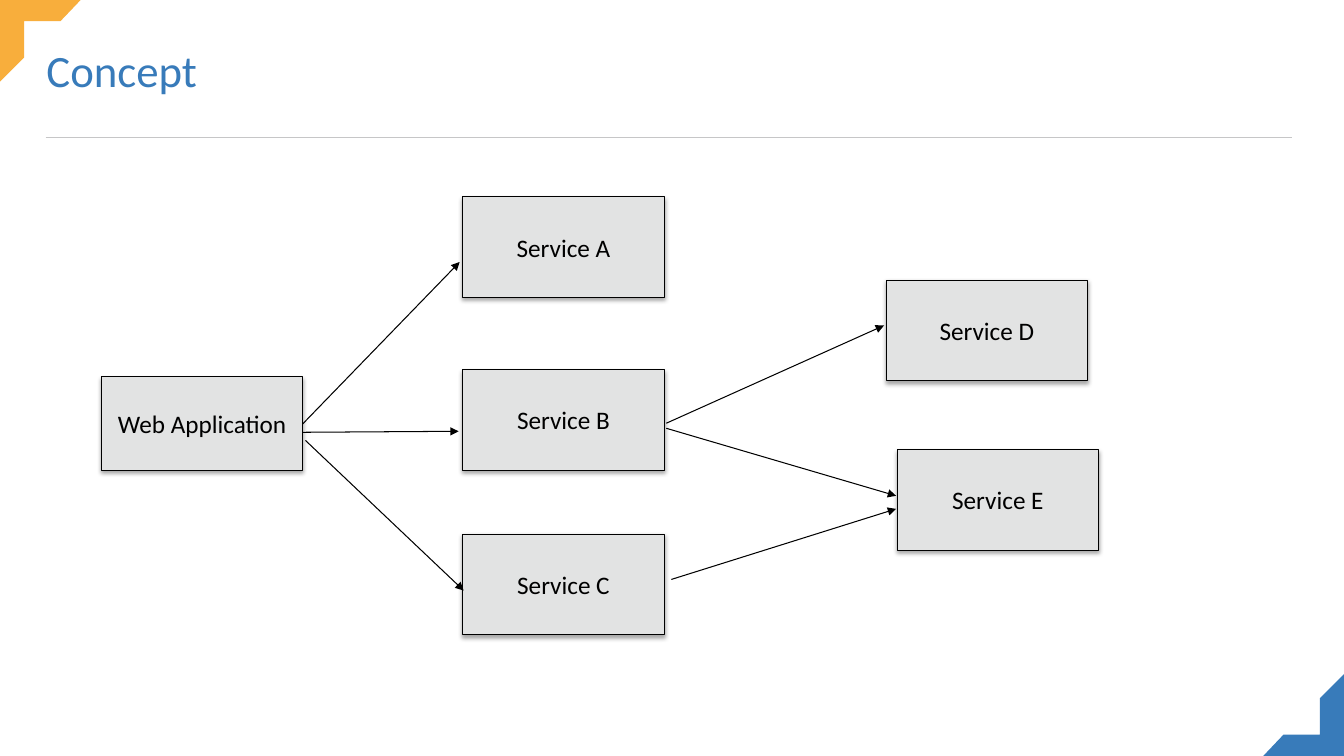
from lxml.etree import SubElement as Sub
from pptx import Presentation
from pptx.dml.color import RGBColor
from pptx.enum.shapes import MSO_CONNECTOR as Link, MSO_SHAPE as Shape
from pptx.enum.text import MSO_ANCHOR as Anchor, PP_ALIGN as Align
from pptx.oxml.ns import qn
from pptx.util import Inches, Pt

BLACK = RGBColor(0x00, 0x00, 0x00)
GREY = RGBColor(0xE2, 0xE3, 0xE3)
RULE = RGBColor(0xC6, 0xC6, 0xC7)
BLUE = RGBColor(0x38, 0x7B, 0xBA)
GOLD = RGBColor(0xF8, 0xAE, 0x3C)
COLS, ROWS = 40, 22.5

deck = Presentation()
deck.slide_width = Inches(13.33)
deck.slide_height = Inches(7.5)
cell = deck.slide_width / COLS
slide = deck.slides.add_slide(deck.slide_layouts[5])
shapes = slide.shapes


def grid(*cells):
    return [round(n * cell) for n in cells]


def write(shape, text, size=18, color=BLACK, align=Align.CENTER, space=None):
    frame = shape.text_frame
    frame.word_wrap = True
    frame.vertical_anchor = Anchor.MIDDLE
    para = frame.paragraphs[0]
    para.text = text
    para.alignment = align
    para.line_spacing = space
    font = para.runs[0].font
    font.name = "Calibri"
    font.size = Pt(size)
    font.color.rgb = color


edge = [(0, 0), (2.4, 0), (1.8, 0.63), (0.72, 0.63), (0.72, 1.71), (0, 2.43)]
turned = [(COLS - x, ROWS - y) for x, y in edge]
for points, color in [(edge, GOLD), (turned, BLUE)]:
    spots = [grid(*point) for point in points]
    pen = shapes.build_freeform(*spots[0])
    pen.add_line_segments(spots[1:], close=True)
    corner = pen.convert_to_shape()
    corner.shadow.inherit = False
    corner.fill.solid()
    corner.fill.fore_color.rgb = color
    corner.line.fill.background()

title = shapes.title
title.left, title.top, title.width, title.height = grid(1.08, 1, 37.86, 2.55)
write(title, "Concept", size=32, color=BLUE, align=Align.LEFT, space=0.7)

boxes = [
    ("Web Application", 3.03, 11.22, 5.97, 2.79),
    ("Service A", 13.77, 5.85, 6, 3),
    ("Service B", 13.77, 11, 6, 3),
    ("Service C", 13.77, 15.9, 6, 3),
    ("Service D", 26.37, 8.34, 6, 3),
    ("Service E", 26.7, 13.38, 6, 3),
]
for name, *area in boxes:
    box = shapes.add_shape(Shape.RECTANGLE, *grid(*area))
    box.fill.solid()
    box.fill.fore_color.rgb = GREY
    box.line.color.rgb = BLACK
    box.line.width = Pt(0.75)
    box.shadow.inherit = False
    glow = box.element.spPr.find(qn("a:effectLst"))
    shade = Sub(glow, qn("a:outerShdw"), blurRad=str(Pt(3.1)),
                dist=str(Pt(1.8)), dir="5400000", rotWithShape="0")
    tint = Sub(shade, qn("a:srgbClr"), val=str(BLACK))
    Sub(tint, qn("a:alpha"), val="35000")
    write(box, name)

lines = [
    (RULE, 0.5, 1.36, 4.08, 38.46, 4.08),
    (BLACK, 0.75, 9, 12.63, 13.68, 7.8),
    (BLACK, 0.75, 9, 12.87, 13.65, 12.84),
    (BLACK, 0.75, 9.09, 13.11, 13.8, 17.58),
    (BLACK, 0.75, 19.83, 12.6, 26.31, 9.69),
    (BLACK, 0.75, 19.83, 12.75, 26.67, 14.76),
    (BLACK, 0.75, 19.98, 17.25, 26.67, 15.15),
]
for color, width, *ends in lines:
    line = shapes.add_connector(Link.STRAIGHT, *grid(*ends))
    line.line.color.rgb = color
    line.line.width = Pt(width)
    if color == BLACK:
        Sub(line.line._get_or_add_ln(), qn("a:tailEnd"), type="triangle")
    Sub(line.element.spPr, qn("a:effectLst"))

deck.save("out.pptx")
